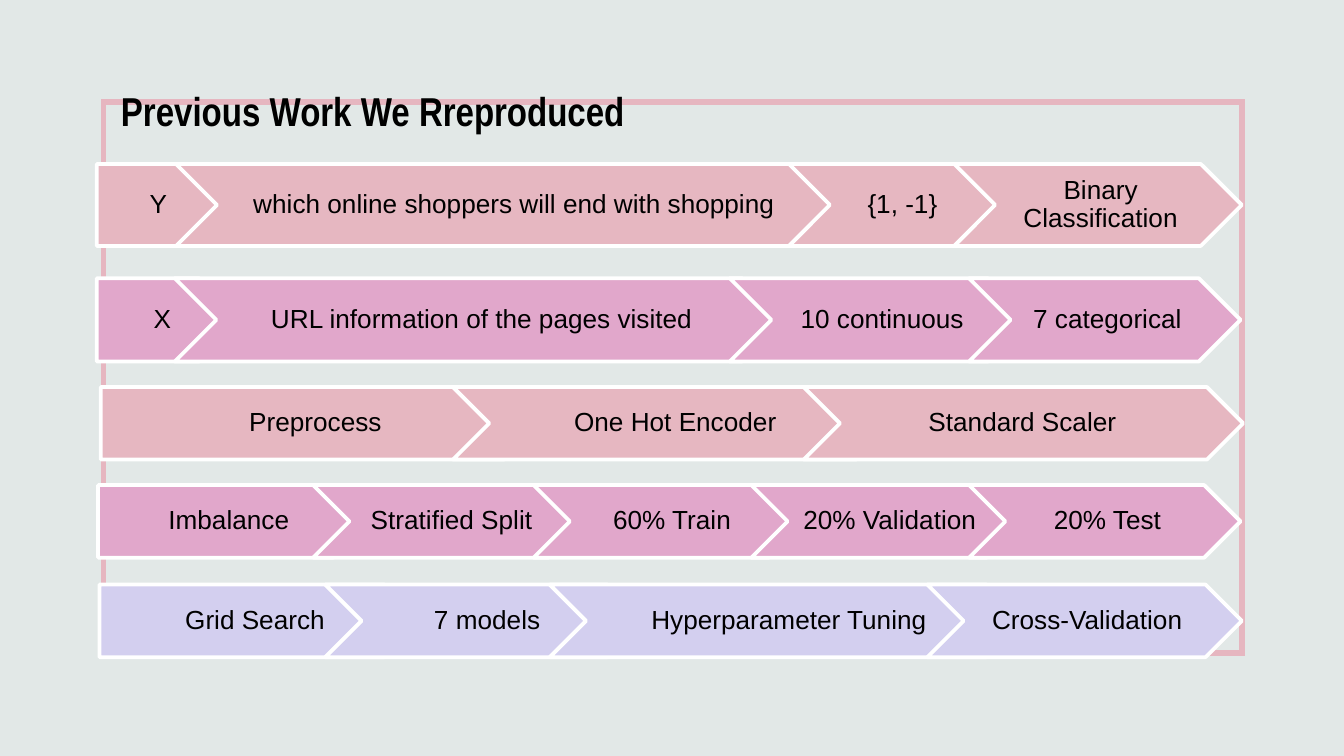
from lxml.etree import SubElement
from pptx import Presentation
from pptx.dml.color import RGBColor
from pptx.enum.shapes import MSO_SHAPE
from pptx.enum.text import MSO_ANCHOR, PP_ALIGN
from pptx.oxml.ns import qn
from pptx.util import Inches, Pt

THEME = {
    "back": "E2E8E7", "frame": "E6B6C0", "edge": "FFFFFF", "ink": "000000",
    "rose": "E6B7C1", "orchid": "E1A7CB", "lilac": "D3CFEF",
    "head": ("Arial Narrow", 21.6, True), "body": ("Arial", 14, False),
}
TITLE = "Previous Work We Rreproduced"

ROWS = [
    (1.22, 0.61, "rose", [
        ("Y", 0.72, 1.01),
        ("which online shoppers will end with shopping", 1.31, 4.99),
        ("{1, -1}", 5.87, 1.65),
        ("Binary Classification", 7.1, 2.14)]),
    (2.07, 0.62, "orchid", [
        ("X", 0.72, 1.07),
        ("URL information of the pages visited", 1.3, 4.53),
        ("10 continuous", 5.43, 2.23),
        ("7 categorical", 7.21, 2.02)]),
    (2.88, 0.54, "rose", [
        ("Preprocess", 0.75, 3.27),
        ("One Hot Encoder", 3.37, 3.27),
        ("Standard Scaler ", 5.98, 3.27)]),
    (3.61, 0.54, "orchid", [
        ("Imbalance", 0.73, 2.02),
        ("Stratified Split", 2.33, 2.02),
        ("60% Train", 3.97, 2.02),
        ("20% Validation", 5.59, 2.02),
        ("20% Test", 7.21, 2.02)]),
    (4.35, 0.54, "lilac", [
        ("Grid Search", 0.74, 2.39),
        ("7 models", 2.42, 2.37),
        ("Hyperparameter Tuning", 4.09, 3.52),
        ("Cross-Validation", 6.9, 2.34)]),
]


def tint(name):
    return RGBColor.from_string(THEME[name])


def write(shape, text, style, align, anchor, space, pads):
    frame = shape.text_frame
    frame.text = text
    frame.word_wrap = True
    frame.vertical_anchor = anchor
    frame.margin_left, frame.margin_right = map(Inches, pads)
    frame.margin_top = frame.margin_bottom = Inches(0.04)
    para = frame.paragraphs[0]
    para.alignment = align
    para.line_spacing = space
    font = para.runs[0].font
    font.name, size, font.bold = THEME[style]
    font.size = Pt(size)
    font.color.rgb = tint("ink")


def outline(shape, name, width):
    shape.shadow.inherit = False
    shape.line.color.rgb = tint(name)
    shape.line.width = Pt(width)


def add_row(slide, top, height, color, steps):
    group = slide.shapes.add_group_shape()
    for i, (label, left, width) in enumerate(steps):
        kind = MSO_SHAPE.CHEVRON if i else MSO_SHAPE.PENTAGON
        step = group.shapes.add_shape(kind, *map(Inches, (left, top, width, height)))
        step.fill.solid()
        step.fill.fore_color.rgb = tint(color)
        outline(step, "edge", 2)
        pads = (0.06 if i else 0.08, 0.02)
        write(step, label, "body", PP_ALIGN.CENTER, MSO_ANCHOR.MIDDLE, 0.9, pads)


def main():
    deck = Presentation()
    deck.slide_width = Inches(10)
    deck.slide_height = deck.slide_width * 9 // 16
    slide = deck.slides.add_slide(deck.slide_layouts[5])
    slide.background.fill.solid()
    slide.background.fill.fore_color.rgb = tint("back")

    title = slide.shapes.title
    title.left, title.top, title.width, title.height = map(Inches, (0.83, 0.49, 6.87, 0.55))
    write(title, TITLE, "head", PP_ALIGN.LEFT, MSO_ANCHOR.BOTTOM, 1.2, (0.07, 0.07))

    border = slide.shapes.add_shape(MSO_SHAPE.RECTANGLE, *map(Inches, (0.77, 0.76, 8.47, 4.1)))
    border.fill.background()
    outline(border, "frame", 3)
    SubElement(border._element.spPr.find(qn("a:ln")), qn("a:miter"), lim="800000")
    title._element.addprevious(border._element)

    for row in ROWS:
        add_row(slide, *row)
    deck.save("out.pptx")


if __name__ == "__main__":
    main()
